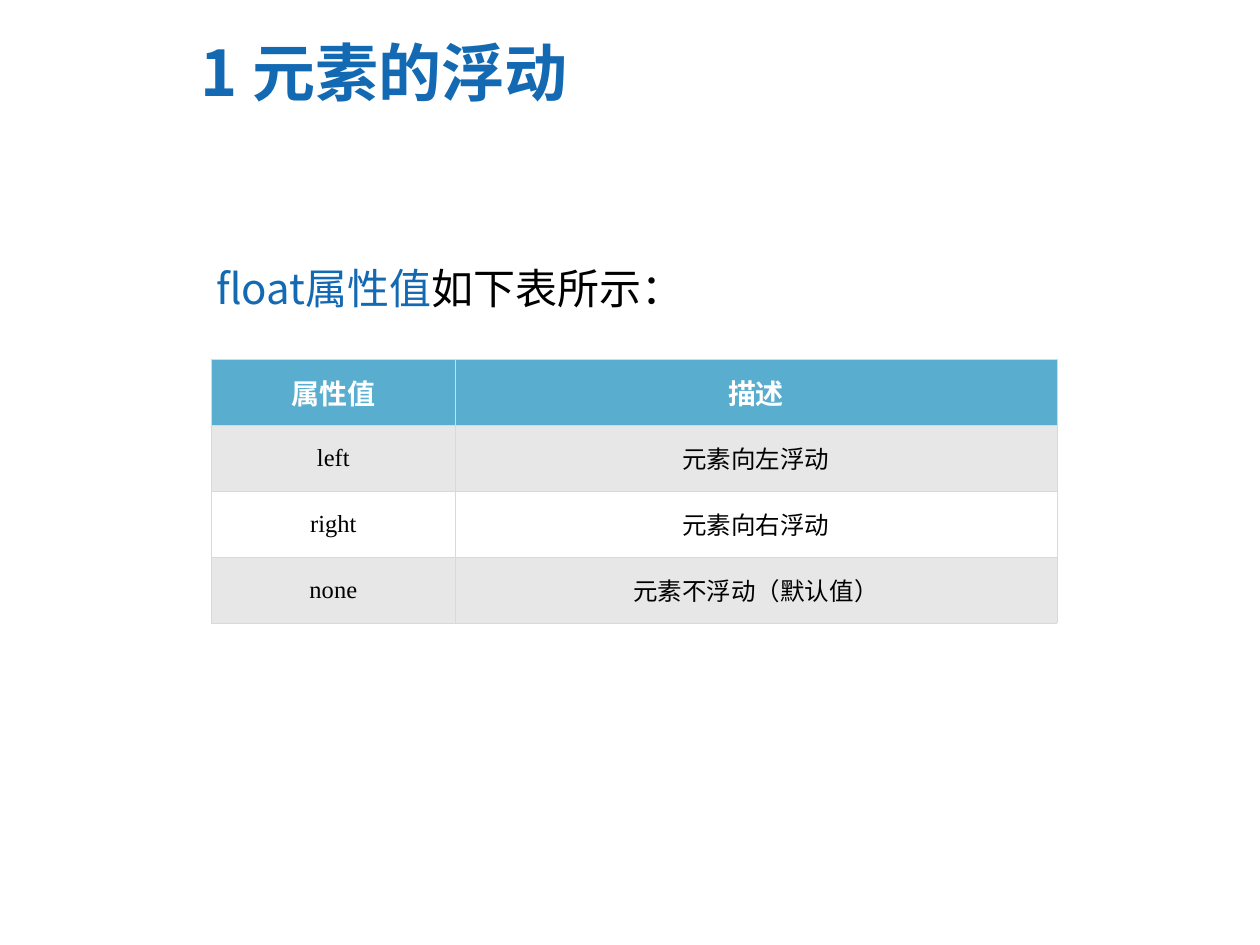
from lxml import etree
from pptx import Presentation
from pptx.dml.color import RGBColor
from pptx.enum.text import MSO_ANCHOR, PP_ALIGN
from pptx.oxml.ns import qn
from pptx.util import Cm, Pt

CENTER = PP_ALIGN.CENTER
MIDDLE = MSO_ANCHOR.MIDDLE
TOP = MSO_ANCHOR.TOP

BLUE = RGBColor(0x13, 0x69, 0xB2)
HEADER_BLUE = RGBColor(0x59, 0xAD, 0xCF)
BAND_GREY = RGBColor(0xE7, 0xE7, 0xE7)
BORDER_GREY = RGBColor(0xD9, 0xD9, 0xD9)
BLACK = RGBColor(0, 0, 0)
WHITE = RGBColor(0xFF, 0xFF, 0xFF)

SANS = "Noto Sans CJK SC"
SERIF = "Times New Roman"

FLOAT_VALUES = [
    ("属性值", "描述"),
    ("left", "元素向左浮动"),
    ("right", "元素向右浮动"),
    ("none", "元素不浮动（默认值）"),
]


class SlideBuilder:
    def __init__(self, slide):
        self.slide = slide

    def style(self, paragraph, size, latin, bold=False):
        """Set the paragraph font, with the sans face for Chinese text."""
        font = paragraph.font
        font.size, font.bold, font.name = Pt(size), bold, latin
        east_asian = etree.Element(qn("a:ea"), typeface=SANS)
        font._element.find(qn("a:latin")).addnext(east_asian)

    def text(self, left, top, width, height, parts, size, bold=False, anchor=TOP):
        """Add a one-paragraph box; parts are (wording, colour) pairs."""
        box = self.slide.shapes.add_textbox(Cm(left), Cm(top), Cm(width), Cm(height))
        frame = box.text_frame
        frame.word_wrap = True
        frame.vertical_anchor = anchor
        paragraph = frame.paragraphs[0]
        self.style(paragraph, size, SANS, bold)
        for wording, color in parts:
            run = paragraph.add_run()
            run.text = wording
            run.font.color.rgb = color

    def border(self, cell):
        properties = cell._tc.get_or_add_tcPr()
        for side in ("a:lnL", "a:lnR", "a:lnT", "a:lnB"):
            line = etree.SubElement(properties, qn(side), w=str(Pt(0.45)))
            fill = etree.SubElement(line, qn("a:solidFill"))
            etree.SubElement(fill, qn("a:srgbClr"), val=str(BORDER_GREY))

    def table(self, left, top, column_widths, row_height, rows):
        table = self.slide.shapes.add_table(
            len(rows), len(column_widths), Cm(left), Cm(top),
            Cm(sum(column_widths)), Cm(row_height * len(rows))).table
        for column, width in zip(table.columns, column_widths):
            column.width = Cm(width)
        for r, row in enumerate(rows):
            header = r == 0
            background = HEADER_BLUE if header else BAND_GREY if r % 2 else WHITE
            for c, wording in enumerate(row):
                cell = table.cell(r, c)
                self.border(cell)
                cell.fill.solid()
                cell.fill.fore_color.rgb = background
                cell.vertical_anchor = MIDDLE
                cell.margin_left = cell.margin_right = Cm(0.2)
                cell.text = wording
                paragraph = cell.text_frame.paragraphs[0]
                paragraph.alignment = CENTER
                self.style(paragraph, 16 if header else 14, SERIF, header)
                paragraph.font.color.rgb = WHITE if header else BLACK


def main():
    presentation = Presentation()
    presentation.slide_width, presentation.slide_height = Cm(25.4), Cm(19.05)
    builder = SlideBuilder(presentation.slides.add_slide(presentation.slide_layouts[6]))

    builder.text(3.8, 0.38, 11.2, 2.13, [("1 元素的浮动", BLUE)], 36, True, MIDDLE)
    builder.text(4.11, 5.16, 10.87, 1.27,
                 [("float属性值", BLUE), ("如下表所示：", BLACK)], 24)
    builder.table(4.27, 7.24, (4.9, 12.14), 1.33, FLOAT_VALUES)
    presentation.save("out.pptx")


if __name__ == "__main__":
    main()
